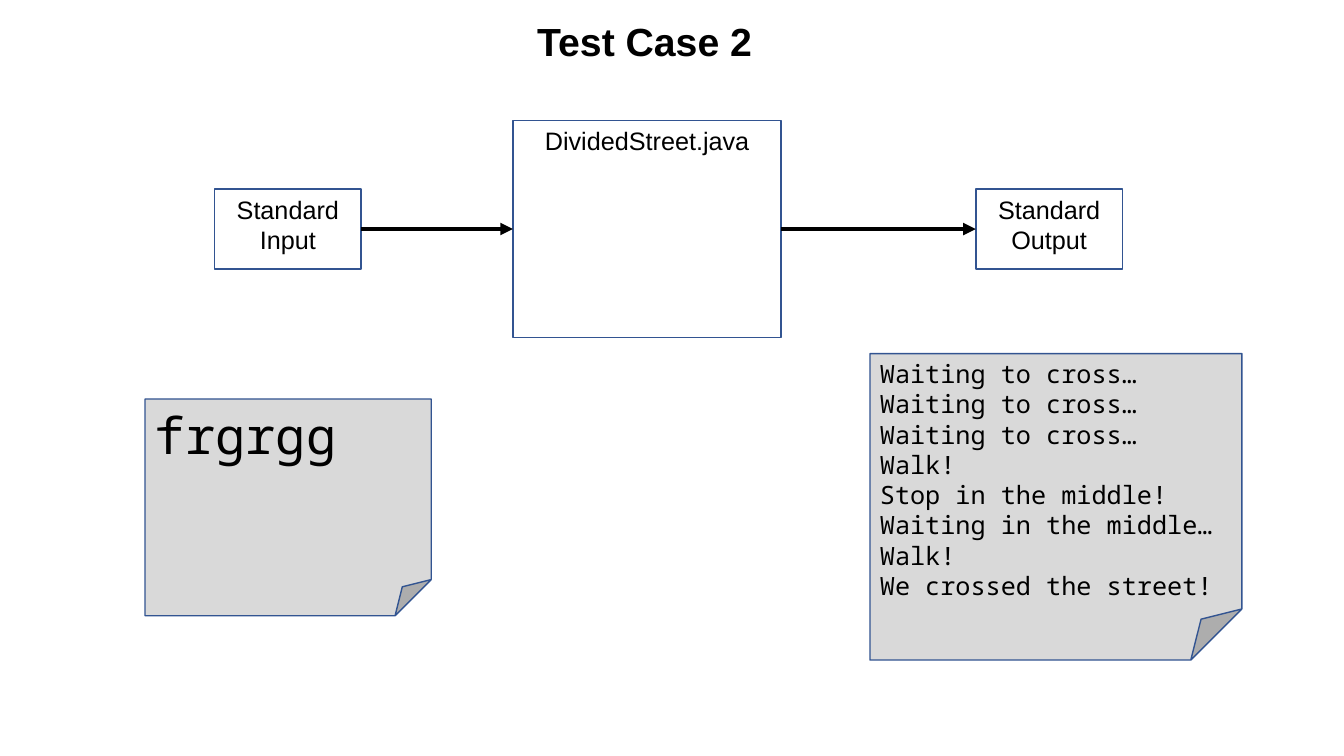
import pptx
import pptx.dml.color
import pptx.enum.shapes
import pptx.enum.text
import pptx.oxml
import pptx.oxml.ns
import pptx.util

Pt = pptx.util.Pt
SHAPE = pptx.enum.shapes.MSO_SHAPE
ALIGN = pptx.enum.text.PP_ALIGN
COLORS = {
    name: pptx.dml.color.RGBColor.from_string(value)
    for name, value in {"ink": "000000", "outline": "325491", "paper": "D9D9D9"}.items()
}


def write(shape, lines, size, font, align, bold=False):
    """Fill a shape with top-anchored text, one paragraph per line."""
    frame = shape.text_frame
    frame.word_wrap = True
    frame.auto_size = pptx.enum.text.MSO_AUTO_SIZE.NONE
    frame.vertical_anchor = pptx.enum.text.MSO_ANCHOR.TOP
    for index, line in enumerate(lines):
        para = frame.add_paragraph() if index else frame.paragraphs[0]
        para.alignment = align
        para.line_spacing = 1.0
        para.space_before = Pt(0)
        span = para.add_run()
        span.text = line
        span.font.size = Pt(size)
        span.font.name = font
        span.font.bold = bold
        span.font.color.rgb = COLORS["ink"]


def add_outlined(kind, left, top, width, height):
    shape = page.shapes.add_shape(kind, Pt(left), Pt(top), Pt(width), Pt(height))
    shape.shadow.inherit = False
    shape.fill.background()
    shape.line.color.rgb = COLORS["outline"]
    shape.line.width = Pt(1)
    return shape


deck = pptx.Presentation()
deck.slide_width, deck.slide_height = Pt(960), Pt(540)
page = deck.slides.add_slide(deck.slide_layouts.get_by_name("Title Only"))

title = page.shapes.title
title.left, title.top, title.width, title.height = Pt(207.4), Pt(8.6), Pt(506), Pt(41)
write(title, ["Test Case 2"], 28, "Arial", ALIGN.CENTER, bold=True)

# Program flow, centred on one horizontal axis
flow_middle = 163.6
stages = []
for label, left, width, height in (
    ("Standard Input", 153.2, 104.8, 57),
    ("DividedStreet.java", 366.4, 191.6, 155),
    ("Standard Output", 697, 104.8, 57),
):
    stage = add_outlined(SHAPE.RECTANGLE, left, flow_middle - height / 2, width, height)
    write(stage, [label], 18, "Arial", ALIGN.CENTER)
    stages.append(stage)

for source, target in zip(stages, stages[1:]):
    arrow = page.shapes.add_connector(pptx.enum.shapes.MSO_CONNECTOR.STRAIGHT, 0, 0, 0, 0)
    arrow.begin_connect(source, 3)
    arrow.end_connect(target, 1)
    arrow.line.color.rgb = COLORS["ink"]
    arrow.line.width = Pt(3)
    head = pptx.oxml.parse_xml(
        f'<a:tailEnd {pptx.oxml.ns.nsdecls("a")} type="triangle"/>'
    )
    arrow.line.fill
    arrow.line._get_or_add_ln().append(head)
    arrow._element.spPr.append(
        pptx.oxml.parse_xml(f'<a:effectLst {pptx.oxml.ns.nsdecls("a")}/>')
    )

# Notes with the input and the expected output
output_lines = ["Waiting to cross…"] * 3 + [
    "Walk!",
    "Stop in the middle!",
    "Waiting in the middle…",
    "Walk!",
    "We crossed the street!",
]
for lines, size, place in (
    (["frgrgg"], 36, (103.6, 285, 204.4, 154.8)),
    (output_lines, 18, (621.4, 252.6, 265.7, 218.9)),
):
    note = add_outlined(SHAPE.FOLDED_CORNER, *place)
    note.fill.solid()
    note.fill.fore_color.rgb = COLORS["paper"]
    write(note, lines, size, "Noto Sans Mono", ALIGN.LEFT)

deck.save("out.pptx")
